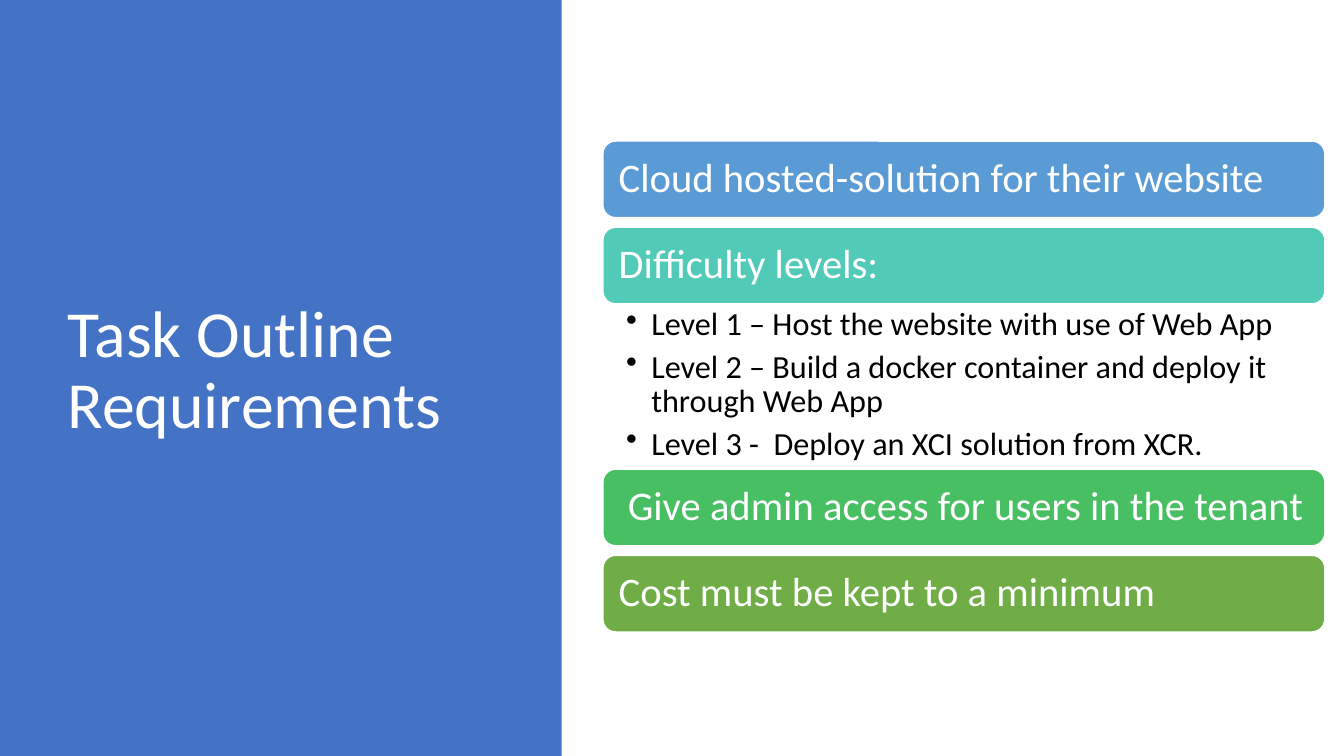
from lxml import etree
from pptx import Presentation
from pptx.dml.color import RGBColor
from pptx.enum.shapes import MSO_SHAPE
from pptx.enum.text import MSO_ANCHOR, MSO_AUTO_SIZE, PP_ALIGN
from pptx.oxml.ns import qn
from pptx.util import Inches, Pt

RECT, ROUND = MSO_SHAPE.RECTANGLE, MSO_SHAPE.ROUNDED_RECTANGLE
TOP, MIDDLE = MSO_ANCHOR.TOP, MSO_ANCHOR.MIDDLE
LEFT, FIXED = PP_ALIGN.LEFT, MSO_AUTO_SIZE.NONE

TITLE = "Task Outline Requirements"
LEVELS = [
    "Level 1 – Host the website with use of Web App",
    "Level 2 – Build a docker container and deploy it through Web App",
    "Level 3 -  Deploy an XCI solution from XCR.",
]
# text, fill, extra left inset, bullets below
CARDS = [
    ("Cloud hosted-solution for their website", "5B9BD5", 0, []),
    ("Difficulty levels:", "52CAB8", 0, LEVELS),
    ("Give admin access for users in the tenant", "49BF64", 0.09, []),
    ("Cost must be kept to a minimum", "70AD47", 0, []),
]
WHITE, BLACK, BLUE = "FFFFFF", "000000", "4472C4"
CARD_X, CARD_Y, CARD_W, CARD_H = 5.98, 1.4, 7.16, 0.76
GAP, LIST_H = 0.09, 1.64


def color(code):
    return RGBColor.from_string(code)


def box(x, y, w, h):
    return [Inches(n) for n in (x, y, w, h)]


def add_block(shapes, kind, place, fill):
    block = shapes.add_shape(kind, *box(*place))
    block.shadow.inherit = False
    block.fill.solid()
    block.fill.fore_color.rgb = color(fill)
    block.line.fill.background()
    return block


def write(shape, lines, size, tone, anchor, pads, bullet=False):
    """Fill a shape with paragraphs; pads are left, top, right, bottom insets."""
    frame = shape.text_frame
    frame.text = "\n".join(lines)
    frame.word_wrap = True
    frame.auto_size = FIXED
    frame.vertical_anchor = anchor
    (frame.margin_left, frame.margin_top,
     frame.margin_right, frame.margin_bottom) = box(*pads)
    for para in frame.paragraphs:
        para.alignment = LEFT
        para.line_spacing = 0.9
        if bullet:
            para.space_after = Pt(5.4)
            props = para._p.get_or_add_pPr()
            props.set("marL", str(Inches(0.25)))
            props.set("indent", str(-Inches(0.25)))
            etree.SubElement(props, qn("a:buChar"), char="•")
        for run in para.runs:
            run.font.name = "Calibri"
            run.font.size = Pt(size)
            run.font.color.rgb = color(tone)


deck = Presentation()
deck.slide_width, deck.slide_height = Inches(13.33), Inches(7.5)
slide = deck.slides.add_slide(deck.slide_layouts[5])
shapes = slide.shapes

title = shapes.title
title.left, title.top, title.width, title.height = box(0.57, 0.68, 4.16, 6.02)
write(title, [TITLE], 47, WHITE, MIDDLE, (0.1, 0.05, 0.1, 0.05))

panel = add_block(shapes, RECT, (0, 0, 5.57, 7.5), BLUE)
title._element.addprevious(panel._element)

y = CARD_Y
for text, fill, shift, levels in CARDS:
    card = add_block(shapes, ROUND, (CARD_X, y, CARD_W, CARD_H), fill)
    card.line.color.rgb = color(WHITE)
    card.line.width = Pt(1)
    write(card, [text], 29, WHITE, MIDDLE, (0.12 + shift, 0.12, 0.12, 0.12))
    y += CARD_H
    if levels:
        notes = shapes.add_textbox(*box(CARD_X, y, CARD_W, LIST_H))
        write(notes, levels, 23, BLACK, TOP, (0.23, 0.04, 0.23, 0.04), True)
        y += LIST_H
    else:
        y += GAP + 0.005

deck.save("out.pptx")
